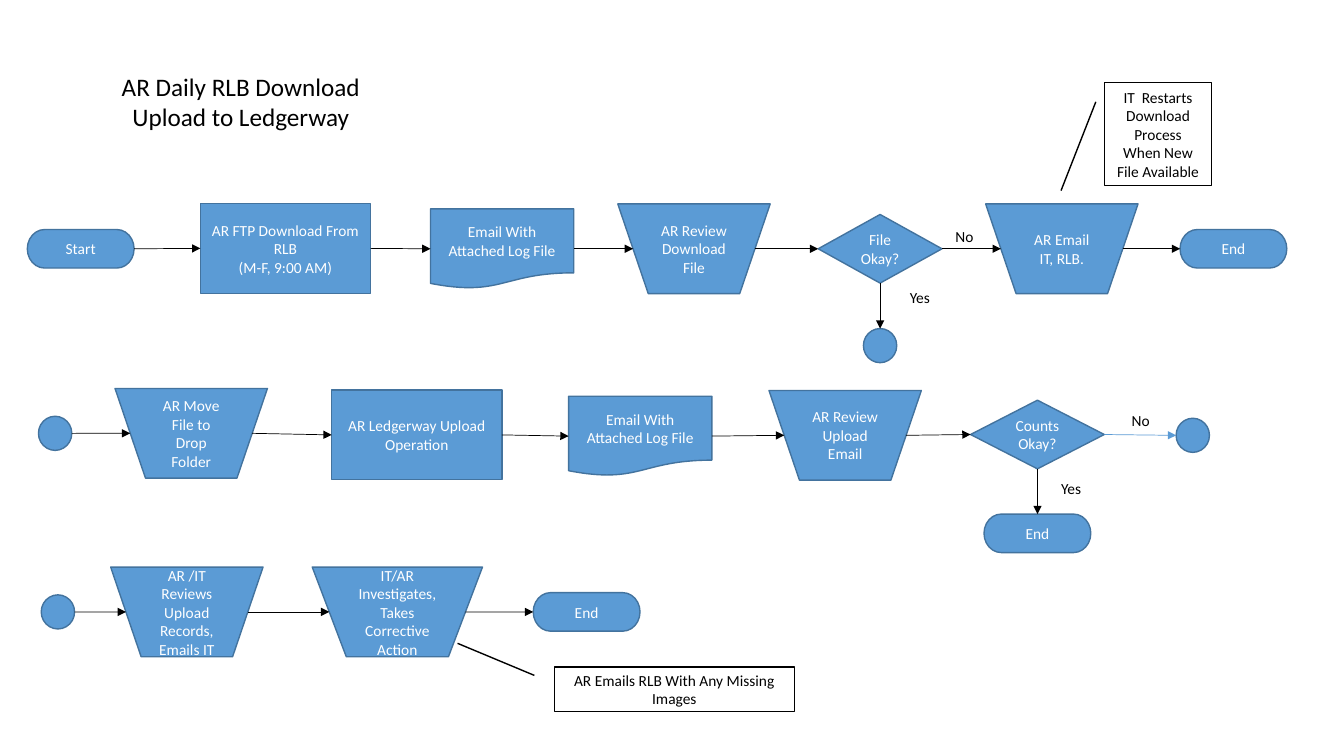
from dataclasses import dataclass

from lxml.etree import SubElement
from pptx import Presentation
from pptx.dml.color import RGBColor
from pptx.enum.shapes import MSO_CONNECTOR, MSO_SHAPE
from pptx.enum.text import MSO_ANCHOR, PP_ALIGN
from pptx.oxml.ns import qn
from pptx.util import Cm, Pt

BLUE, EDGE, BLACK, WHITE = "5B9BD5", "43739E", "000000", "FFFFFF"
FONT = "Calibri"

PROCESS = MSO_SHAPE.FLOWCHART_PROCESS
DOCUMENT = MSO_SHAPE.FLOWCHART_DOCUMENT
MANUAL = MSO_SHAPE.FLOWCHART_MANUAL_OPERATION
TERMINATOR = MSO_SHAPE.FLOWCHART_TERMINATOR
DECISION = MSO_SHAPE.FLOWCHART_DECISION
CIRCLE = MSO_SHAPE.FLOWCHART_CONNECTOR

# Width and height in centimetres
SIZES = {
    PROCESS: (4.29, 2.26),
    DOCUMENT: (3.61, 2.01),
    MANUAL: (3.84, 2.26),
    TERMINATOR: (2.69, 0.97),
    DECISION: (3.12, 1.73),
    CIRCLE: (0.84, 0.86),
}


@dataclass
class Step:
    """One flowchart symbol, placed by its left edge and vertical middle."""
    kind: MSO_SHAPE
    left: float
    middle: float
    text: str = ""
    width: float = 0
    arrow: str = BLACK  # colour of the arrow that leads here


@dataclass
class Note:
    """A bordered callout with its pointer adjustments."""
    left: float
    top: float
    width: float
    height: float
    text: str
    pointer: tuple


@dataclass
class Label:
    """A plain text box."""
    left: float
    top: float
    text: str
    width: float = 1.07
    height: float = 0.74
    size: float = 11
    align: PP_ALIGN = PP_ALIGN.LEFT
    anchor: MSO_ANCHOR = MSO_ANCHOR.TOP


DOWNLOAD = [
    Step(TERMINATOR, 0.69, 6.27, "Start"),
    Step(PROCESS, 5.05, 6.26, "AR FTP Download From RLB\n(M-F, 9:00 AM)"),
    Step(DOCUMENT, 10.85, 6.27, "Email With Attached Log File"),
    Step(MANUAL, 15.57, 6.27, "AR Review Download File"),
    Step(DECISION, 20.62, 6.27, "File Okay?"),
    Step(MANUAL, 24.84, 6.27, "AR Email IT, RLB."),
    Step(TERMINATOR, 29.74, 6.27, "End"),
]
UPLOAD = [
    Step(CIRCLE, 0.97, 10.92),
    Step(MANUAL, 2.9, 10.92, "AR Move File to Drop Folder"),
    Step(PROCESS, 8.36, 10.96, "AR Ledgerway Upload Operation"),
    Step(DOCUMENT, 14.33, 10.99, "Email With Attached Log File"),
    Step(MANUAL, 19.38, 10.97, "AR Review Upload Email"),
    Step(DECISION, 24.46, 10.95, "Counts Okay?", width=3.37),
    Step(CIRCLE, 29.64, 10.97, arrow=BLUE),
]
REVIEW = [
    Step(CIRCLE, 1.04, 15.42),
    Step(MANUAL, 2.79, 15.42, "AR /IT Reviews Upload Records, Emails IT"),
    Step(MANUAL, 7.87, 15.42, "IT/AR Investigates, Takes Corrective Action", width=4.29),
    Step(TERMINATOR, 13.44, 15.42, "End"),
]
DOWNLOAD_OKAY = Step(CIRCLE, 21.76, 8.71)
COUNTS_OKAY = Step(TERMINATOR, 24.8, 13.44, "End")

NOTES = [
    Note(27.84, 2.08, 2.69, 2.59, "IT  Restarts Download Process When New File Available",
         (0.188, -0.083, 1.052, -0.409)),
    Note(13.97, 16.81, 6.05, 1.12, "AR Emails RLB With Any Missing Images",
         (0.188, -0.083, -0.534, -0.403)),
]
LABELS = [
    Label(0.05, 1.65, "AR Daily RLB Download\nUpload to Ledgerway", 12.04, 1.8, 18,
          PP_ALIGN.CENTER, MSO_ANCHOR.MIDDLE),
    Label(23.83, 5.59, "No"),
    Label(22.68, 7.14, "Yes"),
    Label(28.27, 10.24, "No"),
    Label(26.49, 11.94, "Yes"),
]


def colour(value: str) -> RGBColor:
    """Turn a hex string into a colour."""
    return RGBColor.from_string(value)


def write(shape, text: str, ink: str, size: float = 11,
          align=PP_ALIGN.CENTER, anchor=MSO_ANCHOR.MIDDLE) -> None:
    """Fill a shape with text, one paragraph per line."""
    frame = shape.text_frame
    frame.word_wrap = True
    frame.vertical_anchor = anchor
    frame.text = text
    for para in frame.paragraphs:
        para.alignment = align
        para.font.name = FONT
        para.font.size = Pt(size)
        para.font.color.rgb = colour(ink)


def add_box(page, kind, left, top, width, height, fill: str, edge: str):
    """Add a filled, outlined shape; lengths are in centimetres."""
    box = page.shapes.add_shape(kind, Cm(left), Cm(top), Cm(width), Cm(height))
    box.shadow.inherit = False
    box.fill.solid()
    box.fill.fore_color.rgb = colour(fill)
    box.line.color.rgb = colour(edge)
    box.line.width = Pt(1)
    return box


def add_step(page, step: Step):
    """Draw a flowchart symbol."""
    width, height = SIZES[step.kind]
    box = add_box(page, step.kind, step.left, step.middle - height / 2,
                  step.width or width, height, BLUE, EDGE)
    if step.text:
        write(box, step.text, WHITE)
    return box


def add_note(page, note: Note) -> None:
    """Draw a callout with its pointer."""
    box = add_box(page, MSO_SHAPE.LINE_CALLOUT_1, note.left, note.top,
                  note.width, note.height, WHITE, BLACK)
    for index, value in enumerate(note.pointer):
        box.adjustments[index] = value
    write(box, note.text, BLACK)


def add_label(page, label: Label) -> None:
    """Draw a plain text box."""
    box = page.shapes.add_textbox(Cm(label.left), Cm(label.top),
                                  Cm(label.width), Cm(label.height))
    write(box, label.text, BLACK, label.size, label.align, label.anchor)


def side(box, right: bool) -> tuple:
    """Find the middle of a symbol's left or right edge."""
    slant = box.width // 10 if box.auto_shape_type == MANUAL else 0
    x = box.left + box.width - slant if right else box.left + slant
    return x, box.top + box.height // 2


def add_arrow(page, start: tuple, end: tuple, ink: str) -> None:
    """Draw a thin straight arrow between two points."""
    arrow = page.shapes.add_connector(MSO_CONNECTOR.STRAIGHT, *start, *end)
    arrow.line.color.rgb = colour(ink)
    arrow.line.width = Pt(0.5)
    SubElement(arrow.line._get_or_add_ln(), qn("a:tailEnd"), type="triangle")
    SubElement(arrow._element.spPr, qn("a:effectLst"))


def add_flow(page, steps: list) -> list:
    """Draw a row of symbols joined from left to right."""
    boxes = [add_step(page, step) for step in steps]
    for before, after, step in zip(boxes, boxes[1:], steps[1:]):
        add_arrow(page, side(before, True), side(after, False), step.arrow)
    return boxes


def add_branch(page, decision, step: Step) -> None:
    """Draw the symbol below a decision and the arrow down to it."""
    box = add_step(page, step)
    x = decision.left + decision.width // 2
    add_arrow(page, (x, decision.top + decision.height), (x, box.top), step.arrow)


deck = Presentation()
deck.slide_width, deck.slide_height = Cm(33.87), Cm(19.05)
page = deck.slides.add_slide(deck.slide_layouts[6])

download_boxes, upload_boxes, _ = [add_flow(page, row) for row in (DOWNLOAD, UPLOAD, REVIEW)]
add_branch(page, download_boxes[4], DOWNLOAD_OKAY)
add_branch(page, upload_boxes[5], COUNTS_OKAY)
for note in NOTES:
    add_note(page, note)
for label in LABELS:
    add_label(page, label)

deck.save("out.pptx")
